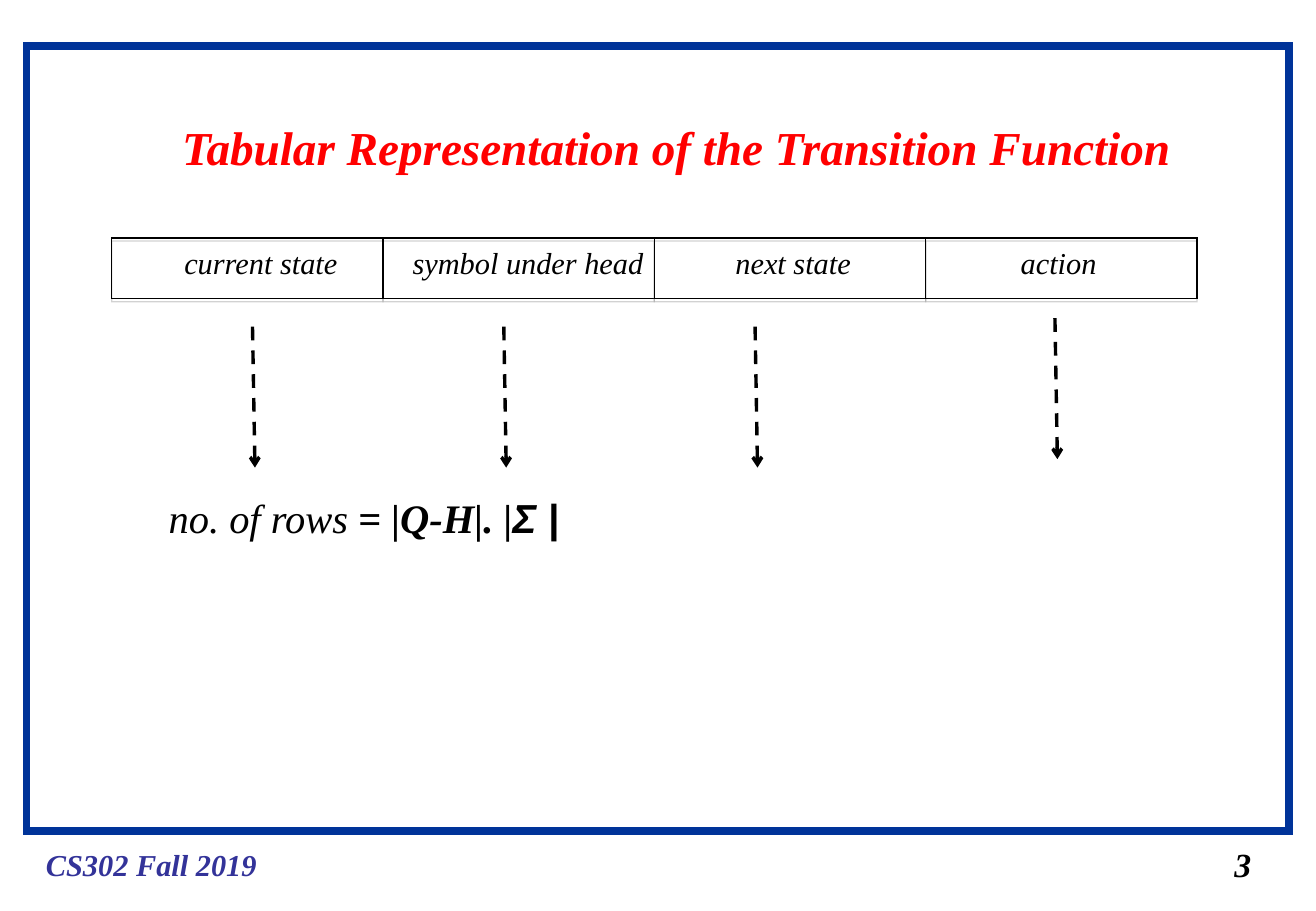
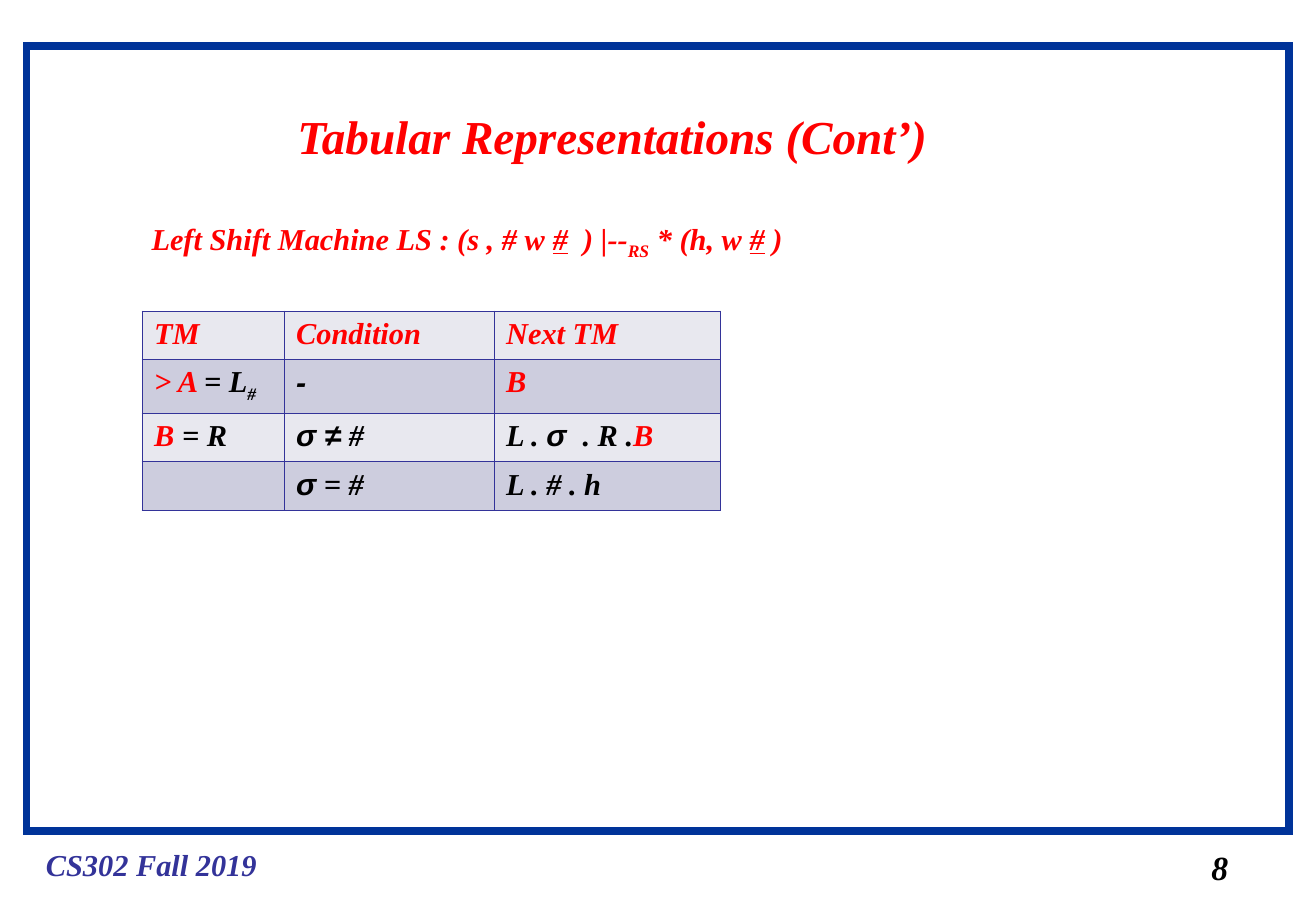
from dataclasses import dataclass

from lxml.etree import SubElement
from pptx import Presentation
from pptx.dml.color import RGBColor
from pptx.enum.dml import MSO_LINE
from pptx.enum.shapes import MSO_CONNECTOR, MSO_SHAPE
from pptx.enum.text import MSO_ANCHOR, MSO_AUTO_SIZE, PP_ALIGN
from pptx.oxml.ns import qn
from pptx.util import Inches, Pt

COLORS = {
    "frame": "003399",
    "footer": "333399",
    "accent": "FF0000",
    "ink": "000000",
    "shadow": "808080",
    "light_row": "E8E8EF",
    "dark_row": "CDCDDE",
}
SERIF = "Times New Roman"
SANS = "Arial"


@dataclass(frozen=True)
class Piece:
    text: str
    color: str = "ink"
    font: str = SERIF
    bold: bool = True
    underline: bool = False
    subscript: bool = False


@dataclass(frozen=True)
class Box:
    left: float
    top: float
    width: float
    height: float

    def emu(self) -> tuple:
        return tuple(Inches(v) for v in (self.left, self.top, self.width, self.height))


@dataclass(frozen=True)
class Column:
    label: str
    label_left: float
    label_width: float
    arrow_left: float
    arrow_top: float = 2.69


def rgb(name: str) -> RGBColor:
    return RGBColor.from_string(COLORS[name])


def write(frame, pieces: list[Piece], size: int) -> None:
    paragraph = frame.paragraphs[0]
    paragraph.alignment = PP_ALIGN.LEFT
    for piece in pieces:
        run = paragraph.add_run()
        run.text = piece.text
        font = run.font
        font.name = piece.font
        font.size = Pt(size)
        font.bold = piece.bold
        font.italic = True
        font.color.rgb = rgb(piece.color)
        if piece.underline:
            font.underline = True
        if piece.subscript:
            font._element.set("baseline", "-25000")


def add_text(slide, box: Box, pieces: list[Piece], size: int) -> None:
    frame = slide.shapes.add_textbox(*box.emu()).text_frame
    frame.word_wrap = True
    frame.auto_size = MSO_AUTO_SIZE.SHAPE_TO_FIT_TEXT
    write(frame, pieces, size)


def add_outline(slide, box: Box, color: str, weight: float):
    outline = slide.shapes.add_shape(MSO_SHAPE.RECTANGLE, *box.emu())
    outline.shadow.inherit = False
    outline.fill.background()
    outline.line.color.rgb = rgb(color)
    outline.line.width = Pt(weight)
    SubElement(outline.line._get_or_add_ln(), qn("a:miter"), lim="800000")
    return outline


def add_drop_shadow(shape) -> None:
    effects = shape._element.spPr.find(qn("a:effectLst"))
    shadow = SubElement(effects, qn("a:outerShdw"), dist=str(Pt(1.8)), dir="5400000", rotWithShape="0")
    tint = SubElement(shadow, qn("a:srgbClr"), val=COLORS["shadow"])
    SubElement(tint, qn("a:alpha"), val="35000")


def add_dashed_arrow(slide, left: float, top: float) -> None:
    arrow = slide.shapes.add_connector(
        MSO_CONNECTOR.STRAIGHT,
        Inches(left), Inches(top), Inches(left + 0.02), Inches(top + 1.16),
    )
    arrow.line.color.rgb = rgb("ink")
    arrow.line.width = Pt(2)
    arrow.line.dash_style = MSO_LINE.DASH
    SubElement(arrow.line._get_or_add_ln(), qn("a:tailEnd"), type="arrow")
    SubElement(arrow._element.spPr, qn("a:effectLst"))


def start_slide(deck, heading: str, heading_box: Box, number: str, number_box: Box):
    slide = deck.slides.add_slide(deck.slide_layouts[5])
    add_outline(slide, Box(0.22, 0.38, 10.4, 6.46), "frame", 4.5)
    add_text(slide, Box(0.28, 6.92, 2.4, 0.4), [Piece("CS302 Fall 2019", "footer")], 18)
    add_text(slide, number_box, [Piece(number)], 20)
    title = slide.shapes.title
    title.left, title.top, title.width, title.height = heading_box.emu()
    frame = title.text_frame
    frame.word_wrap = True
    frame.auto_size = MSO_AUTO_SIZE.SHAPE_TO_FIT_TEXT
    frame.vertical_anchor = MSO_ANCHOR.TOP
    write(frame, [Piece(heading, "accent")], 28)
    return slide


def fill_cell(cell, pieces: list[Piece], color: str) -> None:
    properties = cell._tc.get_or_add_tcPr()
    for side in ("lnL", "lnR", "lnT", "lnB"):
        border = SubElement(properties, qn(f"a:{side}"), w=str(Pt(0.45)))
        solid = SubElement(border, qn("a:solidFill"))
        SubElement(solid, qn("a:srgbClr"), val=COLORS["footer"])
    cell.fill.solid()
    cell.fill.fore_color.rgb = rgb(color)
    write(cell.text_frame, pieces, 18)


def add_machine_table(slide, box: Box, widths: list[float], heights: list[float],
                      rows: list[list[list[Piece]]]) -> None:
    table = slide.shapes.add_table(len(rows), len(widths), *box.emu()).table
    table.first_row = table.horz_banding = False
    for column, width in zip(table.columns, widths):
        column.width = Inches(width)
    for r, (row, height) in enumerate(zip(rows, heights)):
        table.rows[r].height = Inches(height)
        for c, pieces in enumerate(row):
            fill_cell(table.cell(r, c), pieces, "dark_row" if r % 2 else "light_row")


def build_transition_function(deck) -> None:
    slide = start_slide(
        deck, "Tabular Representation of the Transition Function", Box(1.4, 0.92, 8.8, 0.57),
        "3", Box(10.07, 6.9, 0.4, 0.44),
    )
    columns = [
        Column("current state", 1.42, 1.7, 2.08),
        Column("symbol under head", 3.3, 2.3, 4.15),
        Column("next state", 5.96, 1.4, 6.22),
        Column("action", 8.31, 1.1, 8.69, 2.62),
    ]
    top, width = 1.96, 8.94 / len(columns)
    for i, column in enumerate(columns):
        add_drop_shadow(add_outline(slide, Box(0.92 + i * width, top, width, 0.5), "ink", 0.75))
    for column in columns:
        add_text(slide, Box(column.label_left, top, column.label_width, 0.4),
                 [Piece(column.label, bold=False)], 18)
        add_dashed_arrow(slide, column.arrow_left, column.arrow_top)
    row_count = [Piece("no. of rows ", bold=False), Piece("= |Q-H|. |"), Piece("Σ |", font=SANS)]
    add_text(slide, Box(1.29, 4.01, 3.54, 0.5), row_count, 24)


def build_left_shift_machine(deck) -> None:
    slide = start_slide(
        deck, "Tabular Representations (Cont’)", Box(2.35, 0.83, 6, 0.57),
        "8", Box(9.88, 6.92, 0.4, 0.44),
    )
    blank = Piece("#", "accent", underline=True)
    definition = [
        Piece("Left Shift Machine LS : (s , # w ", "accent"),
        blank,
        Piece("  ) |--", "accent"),
        Piece("RS", "accent", subscript=True),
        Piece(" * (h, w ", "accent"),
        blank,
        Piece(" )", "accent"),
    ]
    add_text(slide, Box(1.15, 1.76, 8.68, 0.44), definition, 18)
    state_b = Piece("B", "accent")
    rows = [
        [[Piece(label, "accent")] for label in ("TM", "Condition", "Next TM")],
        [
            [Piece("> A ", "accent"), Piece("= L"), Piece("#", subscript=True)],
            [Piece("-", font=SANS)],
            [state_b],
        ],
        [
            [state_b, Piece(" = R")],
            [Piece("σ ≠", font=SANS), Piece(" #")],
            [Piece("L . "), Piece("σ ", font=SANS), Piece(" . R ."), state_b],
        ],
        [[], [Piece("σ", font=SANS), Piece(" = #")], [Piece("L . # . h")]],
    ]
    add_machine_table(slide, Box(1.17, 2.56, 4.76, 1.64), [1.17, 1.73, 1.86],
                      [0.4, 0.44, 0.4, 0.4], rows)


def main() -> None:
    deck = Presentation()
    deck.slide_width, deck.slide_height = Inches(10.84), Inches(7.5)
    build_transition_function(deck)
    build_left_shift_machine(deck)
    deck.save("out.pptx")


if __name__ == "__main__":
    main()
